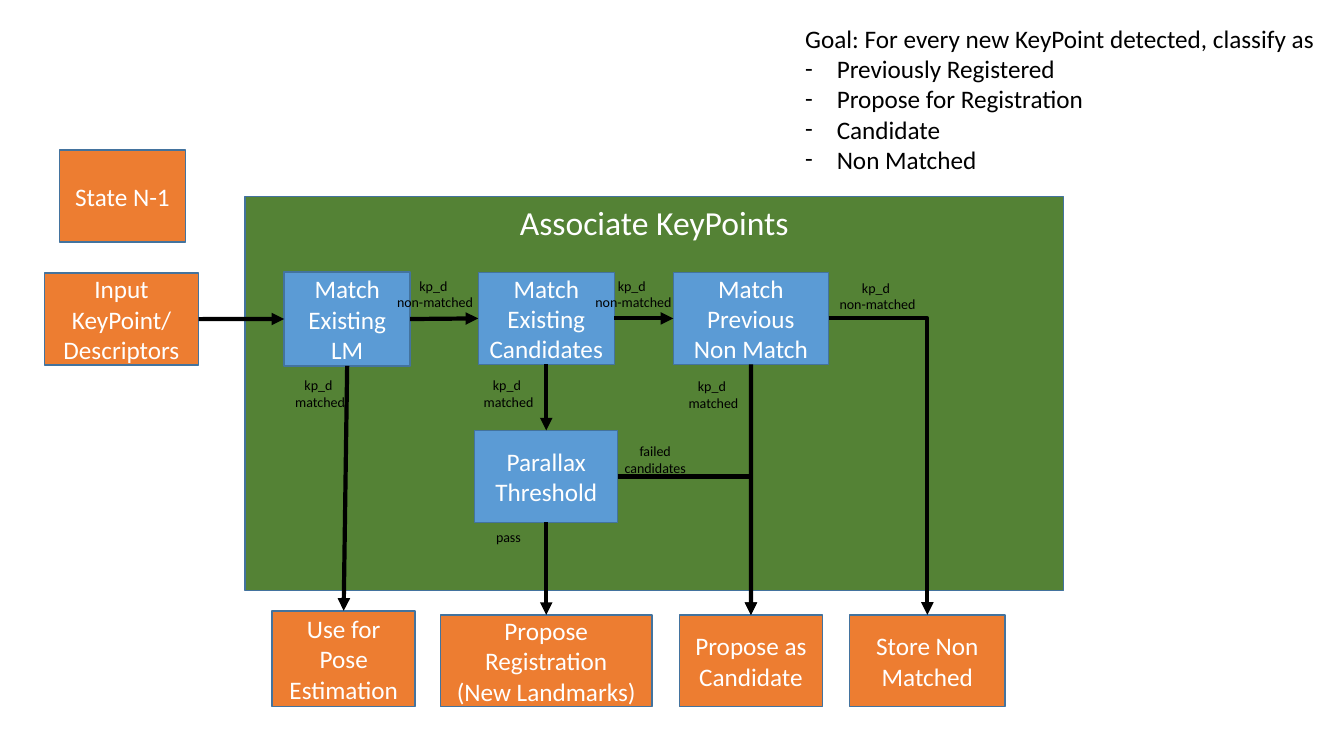
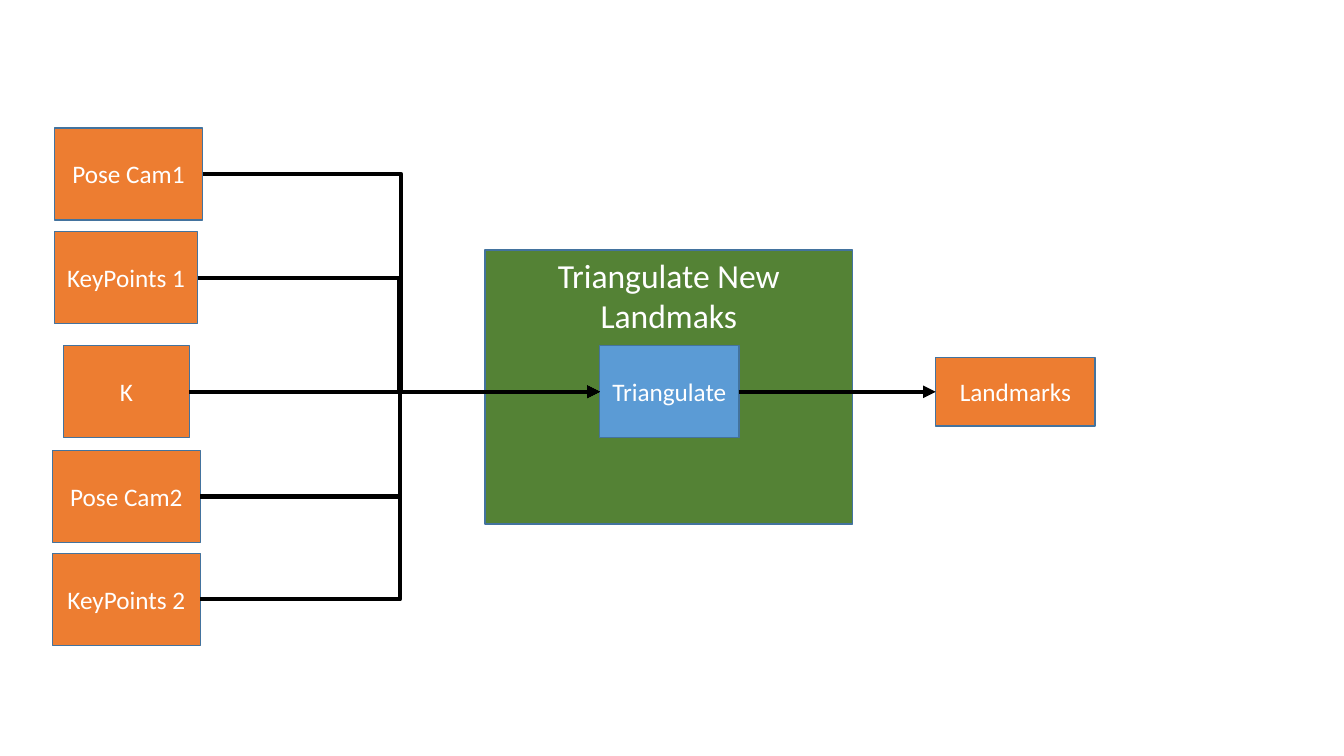
from lxml import etree
from pptx import Presentation
from pptx.dml.color import RGBColor
from pptx.enum.shapes import MSO_CONNECTOR, MSO_SHAPE
from pptx.enum.text import MSO_ANCHOR, PP_ALIGN
from pptx.oxml.ns import qn
from pptx.util import Pt

RECT = MSO_SHAPE.RECTANGLE
LINE, ELBOW = MSO_CONNECTOR.STRAIGHT, MSO_CONNECTOR.ELBOW
TOP, MID = MSO_ANCHOR.TOP, MSO_ANCHOR.MIDDLE
LEFT, MEAN = PP_ALIGN.LEFT, PP_ALIGN.CENTER
NORTH, WEST, SOUTH, EAST = range(4)  # connection sites of a rectangle

FONT = "Calibri"
TALL = 65.7
INK = {"data": "ED7D31", "step": "5B9BD5", "pane": "548235",
       "edge": "43739E", "text": "000000", "pale": "FFFFFF"}


def tint(name):
    """Return the named colour."""
    return RGBColor.from_string(INK[name])


def write(frame, lines, size, ink, align=MEAN):
    """Fill a text frame with one paragraph per line."""
    for i, line in enumerate(lines):
        para = frame.paragraphs[0] if i == 0 else frame.add_paragraph()
        para.alignment = align
        run = para.add_run()
        run.text = line
        run.font.name, run.font.size = FONT, Pt(size)
        run.font.color.rgb = tint(ink)


def block(slide, text, kind, box, size=18, anchor=MID):
    """Draw a filled, outlined rectangle with centred text."""
    shape = slide.shapes.add_shape(RECT, *map(Pt, box))
    shape.shadow.inherit = False
    shape.fill.solid()
    shape.fill.fore_color.rgb = tint(kind)
    shape.line.color.rgb = tint("edge")
    shape.line.width = Pt(1)
    frame = shape.text_frame
    frame.word_wrap, frame.vertical_anchor = True, anchor
    write(frame, text.split("\n"), size, "pale")
    return shape


def pane(slide, title, box):
    """Draw the green stage and return a maker of blocks placed within it."""
    block(slide, title, "pane", box, 24, TOP)
    left, top = box[:2]

    def node(text, kind, mid, drop, wide, tall=TALL):
        """Draw a block by its centre line and its drop from the stage top."""
        return block(slide, text, kind,
                     (left + mid - wide / 2, top + drop, wide, tall))
    return node


def note(slide, lines, box, size=10, align=MEAN):
    """Add a plain text box that does not wrap."""
    area = slide.shapes.add_textbox(*map(Pt, box))
    area.text_frame.word_wrap = False
    write(area.text_frame, lines, size, "text", align)
    return area


def link(slide, start, out, end, into, kind=LINE):
    """Join two blocks with an arrow, from one site to another."""
    wire = slide.shapes.add_connector(kind, 0, 0, 0, 0)
    wire.begin_connect(start, out)
    wire.end_connect(end, into)
    wire.line.color.rgb = tint("text")
    wire.line.width = Pt(3)
    if kind == ELBOW and into == NORTH:
        geom = wire._element.spPr.find(qn("a:prstGeom"))
        geom.set("prst", "bentConnector2")
    line = wire.line._get_or_add_ln()
    etree.SubElement(line, qn("a:tailEnd"), type="triangle")
    etree.SubElement(wire._element.spPr, qn("a:effectLst"))


def goal(slide, box):
    """Add the goal with its dashed list."""
    lines = ["Goal: For every new KeyPoint detected, classify as",
             "Previously Registered", "Propose for Registration",
             "Candidate ", "Non Matched"]
    area = note(slide, lines, box, 18, LEFT)
    for para in area.text_frame.paragraphs[1:]:
        props = para._p.get_or_add_pPr()
        props.set("marL", str(Pt(22.5)))
        props.set("indent", str(Pt(-22.5)))
        etree.SubElement(props, qn("a:buFont"), typeface=FONT)
        etree.SubElement(props, qn("a:buChar"), char="-")


def match(slide, box):
    """Draw the flow that sorts key points, around its stage."""
    node = pane(slide, "Associate KeyPoints", box)
    node("State N-1", "data", -87.5, -33.1, 90)
    feed = node("Input KeyPoint/ Descriptors", "data", -88.2, 54.7, 110.2)
    known = node("Match Existing LM", "step", 73, 54, 90, 67)
    cand = node("Match Existing Candidates", "step", 215.2, 54.2, 97.2)
    prev = node("Match Previous Non Match", "step", 361.4, 54.2, 111)
    gate = node("Parallax Threshold", "step", 215.2, 167.1, 102.2)
    pose = node("Use for Pose Estimation", "data", 70.5, 295.9, 102.2, 68.4)
    mark = node("Propose Registration\n(New Landmarks)", "data",
                215.2, 298.8, 151.2)
    hold = node("Propose as Candidate", "data", 361.4, 298.8, 102.2)
    store = node("Store Non Matched", "data", 487.4, 298.8, 111)

    for start, end in ((feed, known), (known, cand), (cand, prev)):
        link(slide, start, EAST, end, WEST)
    for start, end in ((known, pose), (cand, gate), (gate, mark),
                       (prev, hold)):
        link(slide, start, SOUTH, end, NORTH)
    for start, end in ((gate, hold), (prev, store)):
        link(slide, start, EAST, end, NORTH, ELBOW)

    hit, miss = ["kp_d ", "matched"], ["kp_d ", "non-matched"]
    tags = [(hit, 53.6, 124.8, 51), (hit, 188.2, 125.2, 51),
            (hit, 334.6, 125.6, 51), (miss, 135.7, 54, 70),
            (miss, 277.4, 54, 70), (miss, 451.8, 55.4, 70),
            (["pass"], 188.2, 233.3, 32.4),
            (["failed", "candidates"], 293, 172.1, 59)]
    left, top = box[:2]
    for lines, mid, drop, wide in tags:
        tall = 7.2 + 12.2 * len(lines)
        note(slide, lines, (left + mid - wide / 2, top + drop, wide, tall))


def solve(slide, box):
    """Draw the flow that turns poses and key points into landmarks."""
    node = pane(slide, "Triangulate New Landmaks", box)
    core = node("Triangulate", "step", 131.8, 68.4, 99.4)
    end = node("Landmarks", "data", 379, 76.75, 113.8, 49)
    feeds = [("Pose Cam1", -254.5, -87.2, 105.8),
             ("KeyPoints 1", -256.3, -13, 102.2), ("K", -256, 68.4, 90),
             ("Pose Cam2", -256, 143.2, 105.8),
             ("KeyPoints 2", -256, 216.7, 105.8)]
    for text, mid, drop, wide in feeds:
        feed = node(text, "data", mid, drop, wide)
        link(slide, feed, EAST, core, WEST, LINE if text == "K" else ELBOW)
    link(slide, core, EAST, end, WEST)


def main():
    """Build both slides and save them."""
    deck = Presentation()
    deck.slide_width, deck.slide_height = Pt(960), Pt(540)
    blank = deck.slide_layouts[6]
    first = deck.slides.add_slide(blank)
    goal(first, (568.1, 13, 382.3, 116.6))
    match(first, (175, 140.4, 584.6, 281.5))
    solve(deck.slides.add_slide(blank), (346.3, 178.6, 262.8, 195.8))
    deck.save("out.pptx")


main()
